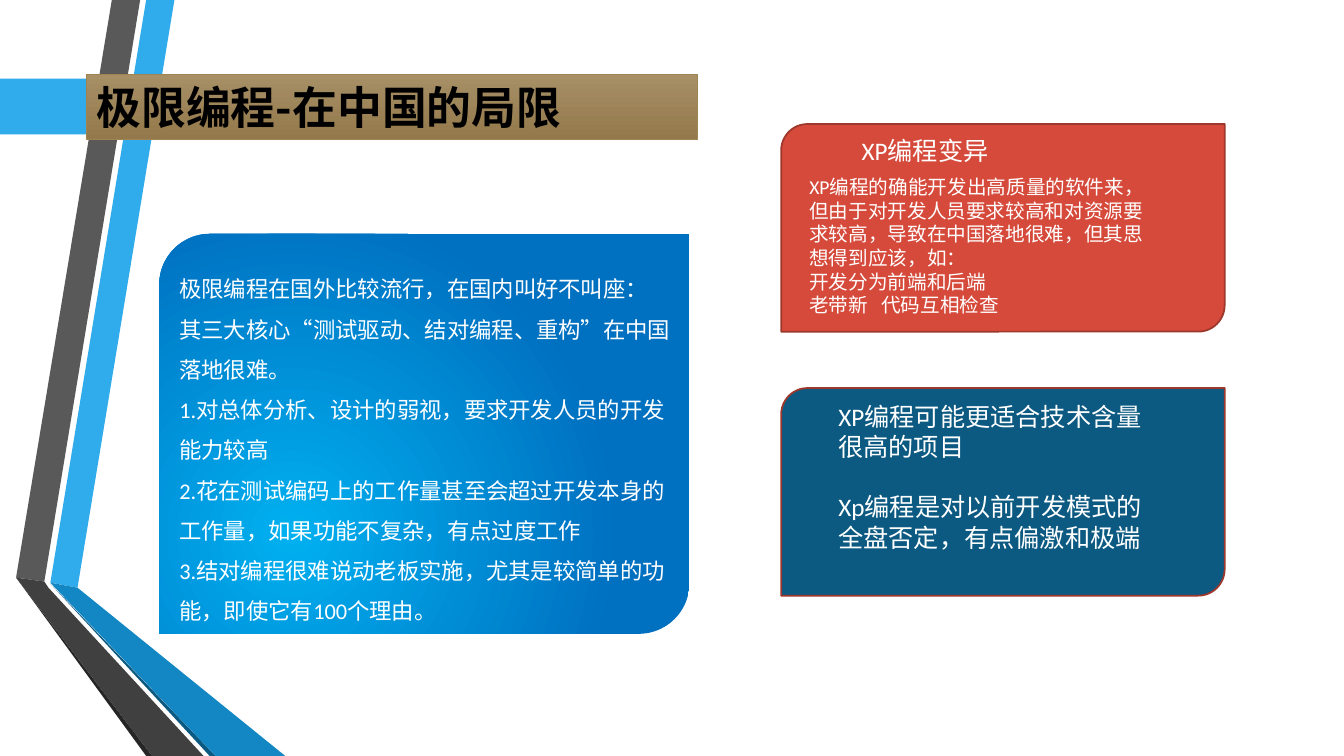
import pptx
import pptx.util
from lxml import etree
from pptx.dml.color import RGBColor
from pptx.enum.shapes import MSO_SHAPE
from pptx.enum.text import MSO_ANCHOR
from pptx.oxml.ns import qn
from pptx.util import Pt

COLORS = {
    "white": "FFFFFF", "black": "000000",
    "sky": "30ACEC", "blue": "1287C3", "navy": "0C5A82",
    "gray": "595959", "charcoal": "404040", "soot": "262626",
    "red": "D64A3B", "brick": "9E372C",
    "tan": "A78F66", "bronze": "93794B", "bronze_line": "9F8351",
    "glow": "00B0F0", "deep": "0070C0",
}

RIBBONS = [
    ("sky", [(36, 416.2), (55.4, 419.8), (124.6, 0), (104.4, 0)]),
    ("gray", [(100.1, 0), (79.9, 0), (11.5, 412.6), (31.7, 415.4)]),
    ("soot", [(11.5, 412.6), (104.4, 540), (108.7, 540)]),
    ("navy", [(36, 416.9), (149.8, 540), (154.1, 540)]),
    ("blue", [(36, 416.2), (154.1, 540), (203.8, 540), (55.4, 419.8)]),
    ("charcoal", [(145.4, 540), (34.6, 419.8), (31.7, 415.4), (11.5, 412.6), (108.7, 540)]),
    ("sky", [(0, 56.2), (192, 56.2), (227.5, 76.3), (192, 96.2), (0, 96)]),
]

LIMITS = [
    "极限编程在国外比较流行，在国内叫好不叫座：",
    "其三大核心“测试驱动、结对编程、重构”在中国落地很难。",
    "1.对总体分析、设计的弱视，要求开发人员的开发能力较高",
    "2.花在测试编码上的工作量甚至会超过开发本身的工作量，如果功能不复杂，有点过度工作",
    "3.结对编程很难说动老板实施，尤其是较简单的功能，即使它有100个理由。",
]
VARIANT = [
    "XP编程的确能开发出高质量的软件来，但由于对开发人员要求较高和对资源要求较高，"
    "导致在中国落地很难，但其思想得到应该，如：",
    "开发分为前端和后端",
    "老带新\t代码互相检查",
]
VERDICT = [
    "XP编程可能更适合技术含量很高的项目",
    "Xp编程是对以前开发模式的全盘否定，有点偏激和极端",
]


def color(name):
    """Return the named colour."""
    return RGBColor.from_string(COLORS[name])


def add_ribbon(page, fill, points):
    """Draw a filled polygon."""
    corners = [(Pt(x), Pt(y)) for x, y in points]
    builder = page.shapes.build_freeform(*corners[0])
    builder.add_line_segments(corners[1:], close=True)
    ribbon = builder.convert_to_shape()
    ribbon.shadow.inherit = False
    ribbon.fill.solid()
    ribbon.fill.fore_color.rgb = color(fill)
    ribbon.line.fill.background()


def add_panel(page, kind, bounds, fills, line=None, width=1.25):
    """Draw a shape with one fill colour or a two-colour gradient."""
    panel = page.shapes.add_shape(kind, *map(Pt, bounds))
    panel.shadow.inherit = False
    if kind == MSO_SHAPE.ROUND_2_DIAG_RECTANGLE:
        panel.adjustments[0] = 0.127
    if len(fills) == 1:
        panel.fill.solid()
        panel.fill.fore_color.rgb = color(fills[0])
    else:
        panel.fill.gradient()
        panel.fill.gradient_angle = 270
        for stop, name in zip(panel.fill.gradient_stops, fills):
            stop.color.rgb = color(name)
    if line:
        panel.line.color.rgb = color(line)
        panel.line.width = Pt(width)
    else:
        panel.line.fill.background()
    return panel


def make_radial(panel, x, y):
    """Turn a linear gradient into a circular one centred at x, y percent."""
    gradient = panel.fill._xPr.find(qn("a:gradFill"))
    gradient.remove(gradient.find(qn("a:lin")))
    circle = etree.SubElement(gradient, qn("a:path"), {"path": "circle"})
    sides = {"l": x, "t": y, "r": 100 - x, "b": 100 - y}
    etree.SubElement(circle, qn("a:fillToRect"),
                     {side: str(share * 1000) for side, share in sides.items()})


def write(frame, lines, size, fill="white", font="Calibri", bold=False, spacing=None, gap=0, tab=None):
    """Write paragraphs in one style, with an optional gap and tab stop."""
    frame.word_wrap = True
    for index, line in enumerate(lines):
        para = frame.paragraphs[0] if index == 0 else frame.add_paragraph()
        span = para.add_run()
        span.text = line
        para.alignment = pptx.enum.text.PP_ALIGN.LEFT
        if spacing:
            para.line_spacing = spacing
        if gap and index:
            para.space_before = Pt(gap)
        if tab and "\t" in line:
            stops = etree.SubElement(para._p.get_or_add_pPr(), qn("a:tabLst"))
            etree.SubElement(stops, qn("a:tab"), {"pos": str(Pt(tab)), "algn": "l"})
        para.font.size = Pt(size)
        para.font.name = font
        para.font.bold = bold
        para.font.color.rgb = color(fill)


def add_text(page, bounds, lines, size, **style):
    """Add a text box."""
    box = page.shapes.add_textbox(*map(Pt, bounds))
    write(box.text_frame, lines, size, **style)


def main():
    """Build the slide and save it."""
    deck = pptx.Presentation()
    deck.slide_width, deck.slide_height = Pt(960), Pt(540)
    page = deck.slides.add_slide(deck.slide_layouts[6])
    for fill, points in RIBBONS:
        add_ribbon(page, fill, points)

    title = add_panel(page, MSO_SHAPE.RECTANGLE, (61.9, 53.3, 436.3, 46.1),
                      ("tan", "bronze"), "bronze_line", 0.75)
    title.text_frame.vertical_anchor = MSO_ANCHOR.MIDDLE
    write(title.text_frame, ["极限编程-在中国的局限"], 32, fill="black",
          font="Noto Sans CJK SC", bold=True)

    rounded = MSO_SHAPE.ROUND_2_DIAG_RECTANGLE
    limits = add_panel(page, rounded, (113.8, 167, 378.7, 285.8), ("glow", "deep"))
    make_radial(limits, 25, 75)
    add_text(page, (121, 183.6, 372.2, 268.6), LIMITS, 16, spacing=1.5)

    for top, fill in ((88.6, "red"), (277.2, "navy")):
        add_panel(page, rounded, (558, top, 316.8, 148.3), (fill,), "brick")
    add_text(page, (608.4, 92.9, 126.7, 28.8), ["XP编程变异"], 18)
    add_text(page, (571, 121.7, 254.9, 108.7), VARIANT, 14, tab=51.4)
    add_text(page, (591.8, 283, 233.3, 115.9), VERDICT, 18, gap=21.5)
    deck.save("out.pptx")


if __name__ == "__main__":
    main()
